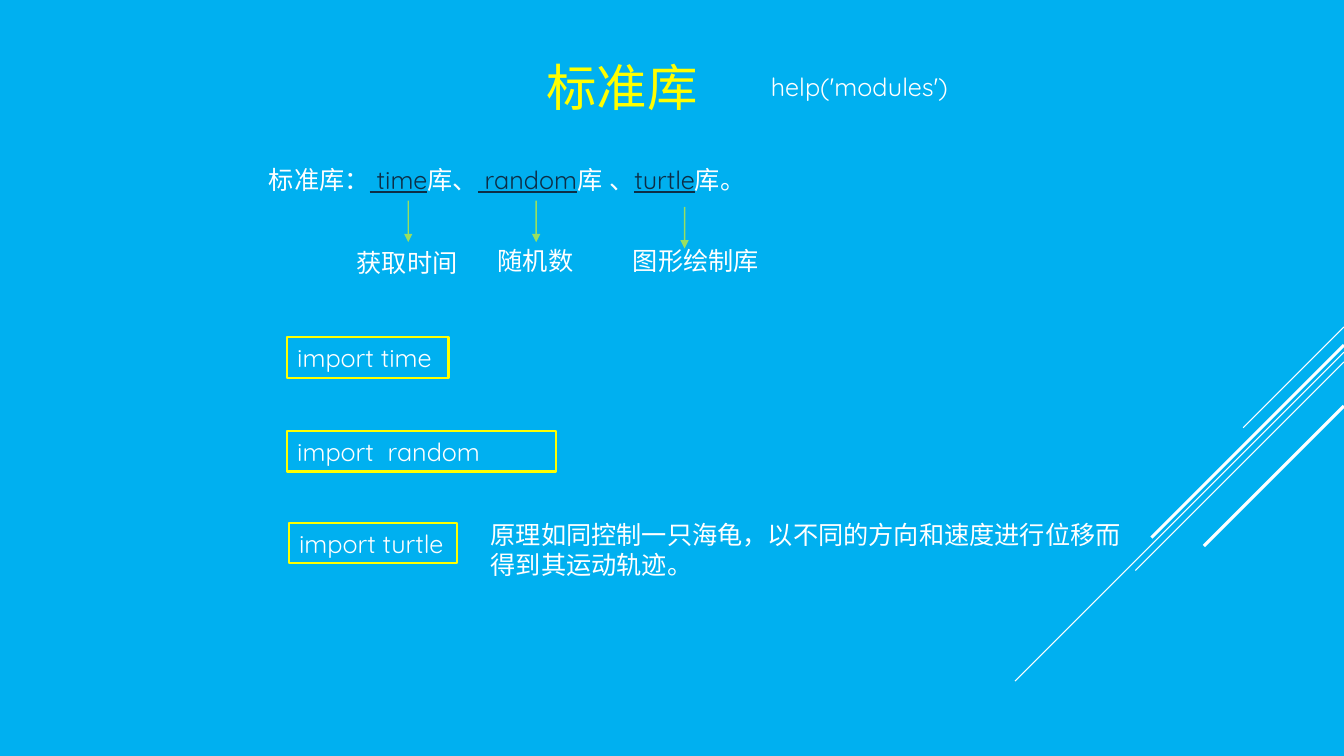
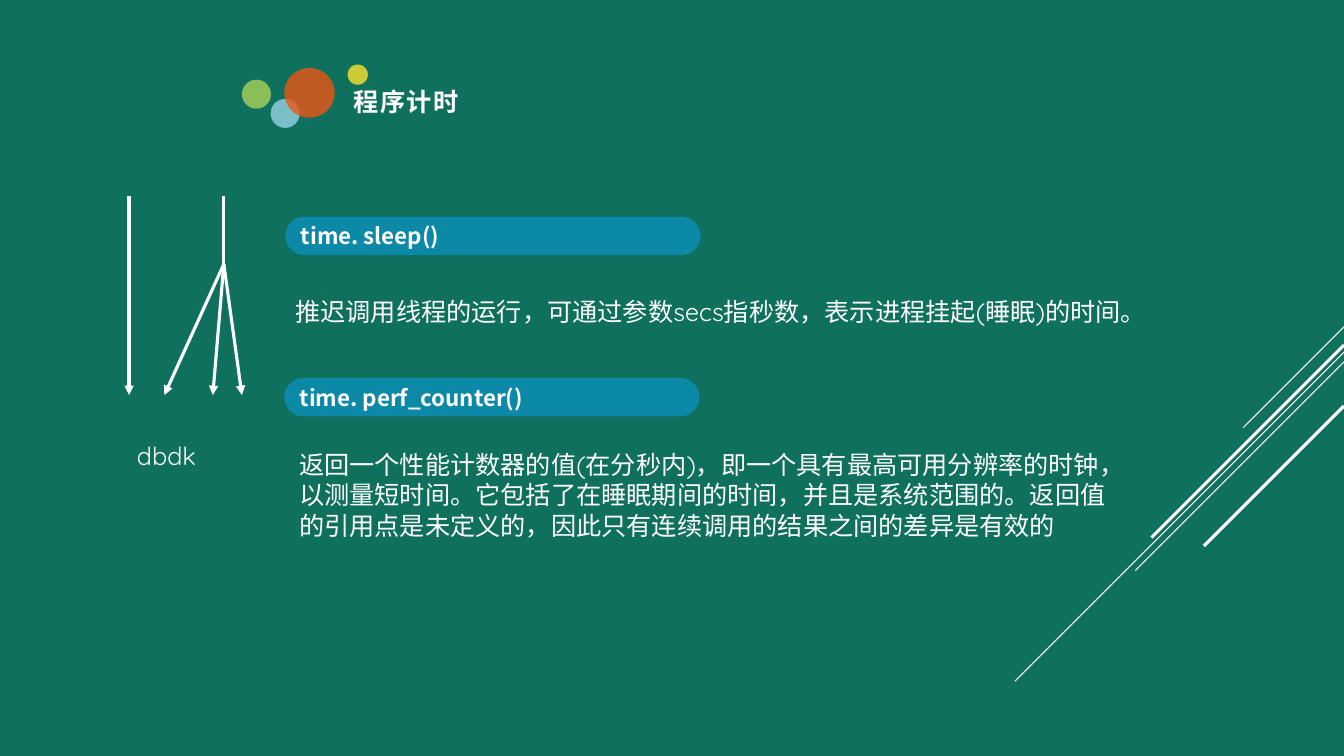
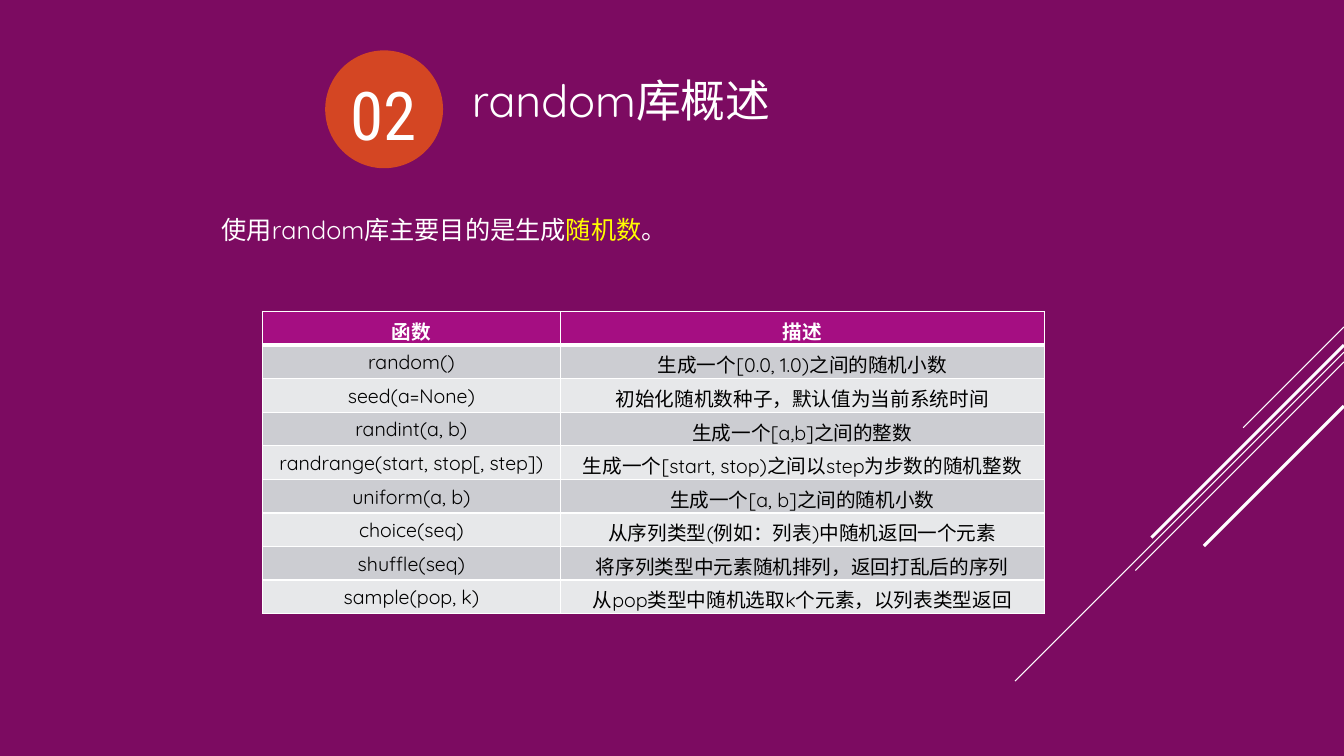
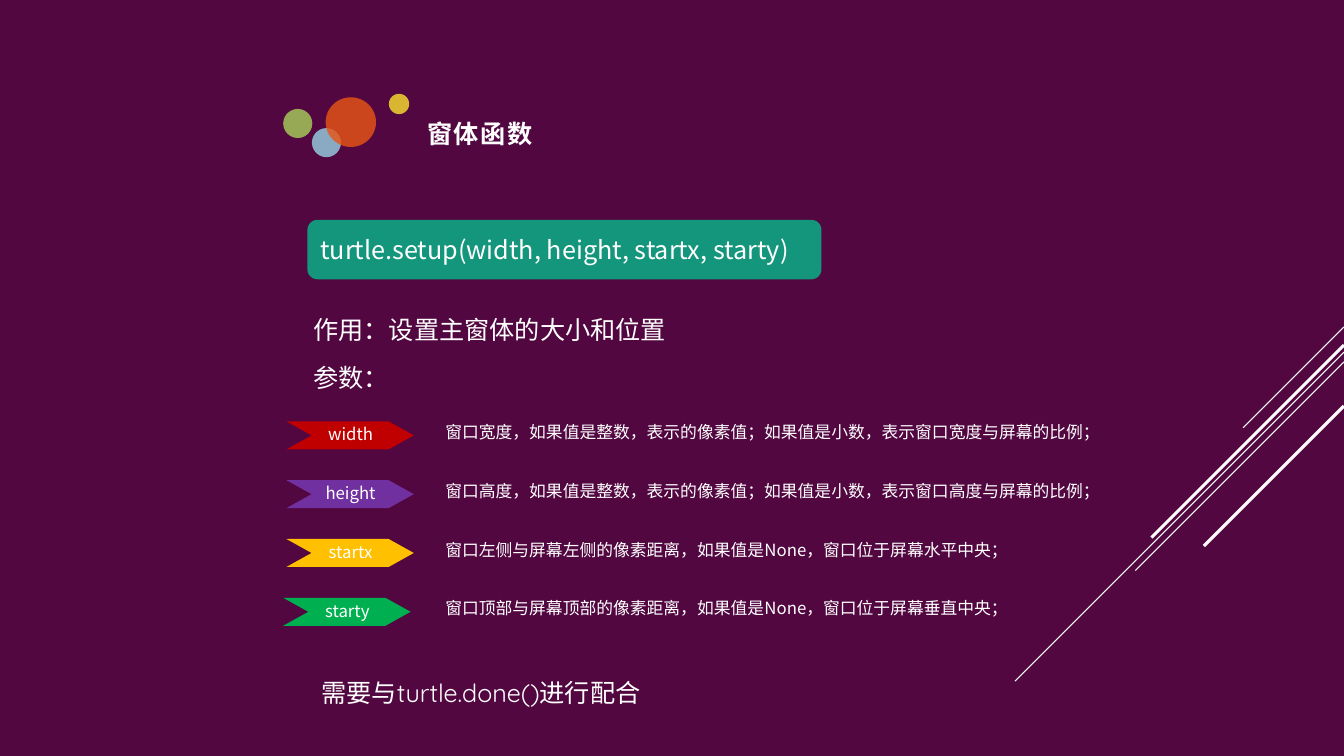
from lxml.etree import SubElement
from pptx import Presentation
from pptx.dml.color import RGBColor
from pptx.enum.shapes import MSO_CONNECTOR, MSO_SHAPE
from pptx.enum.text import MSO_ANCHOR, MSO_AUTO_SIZE, PP_ALIGN
from pptx.oxml.ns import qn
from pptx.util import Pt

WHITE = RGBColor(0xFF, 0xFF, 0xFF)
BLACK = RGBColor(0x00, 0x00, 0x00)
YELLOW = RGBColor(0xFF, 0xFF, 0x00)
NAVY = RGBColor(0x0D, 0x2E, 0x46)
SKY = RGBColor(0x00, 0xB0, 0xF0)
PINE = RGBColor(0x0F, 0x70, 0x5D)
PURPLE = RGBColor(0x7C, 0x0B, 0x61)
PLUM = RGBColor(0x52, 0x07, 0x41)
LEMON = RGBColor(0xFB, 0xE2, 0x2D)
LIME = RGBColor(0xA9, 0xD2, 0x5A)
ICE = RGBColor(0x98, 0xD2, 0xE3)
ORANGE = RGBColor(0xEA, 0x55, 0x14)
TEAL = RGBColor(0x0D, 0x89, 0xA8)
JADE = RGBColor(0x14, 0x96, 0x7C)
MAGENTA = RGBColor(0xA5, 0x0E, 0x82)
BAND_DARK = RGBColor(0xCC, 0xCD, 0xD2)
BAND_LIGHT = RGBColor(0xE7, 0xE8, 0xEA)
RED = RGBColor(0xC0, 0x00, 0x00)
VIOLET = RGBColor(0x70, 0x30, 0xA0)
GOLD = RGBColor(0xFF, 0xC0, 0x00)
GREEN = RGBColor(0x00, 0xB0, 0x50)

ROUND_FONT = "Quicksand"
SANS_FONT = "Noto Sans CJK SC"
NUMBER_FONT = "Roboto Condensed"
INSETS = (7.2, 3.6, 7.2, 3.6)
NO_INSETS = (0, 0, 0, 0)
PAGE_WIDTH, PAGE_HEIGHT = 960, 540


# Text and shape helpers

def add_span(para, text, size, color=WHITE, font=ROUND_FONT, bold=False,
             underline=False, asian=None, spacing=0):
    span = para.add_run()
    span.text = text
    span.font.size = Pt(size)
    span.font.bold = bold
    span.font.underline = underline
    span.font.color.rgb = color
    span.font.name = font
    properties = span.font.latin_parent if hasattr(span.font, "latin_parent") else para.runs[-1]._r.get_or_add_rPr()
    SubElement(properties, qn("a:ea")).set("typeface", asian or font)
    if spacing:
        properties.set("spc", str(spacing))


def set_frame(frame, insets=INSETS, wrap=True, anchor=MSO_ANCHOR.TOP,
              fit=MSO_AUTO_SIZE.SHAPE_TO_FIT_TEXT):
    frame.margin_left, frame.margin_top, frame.margin_right, frame.margin_bottom = map(Pt, insets)
    frame.word_wrap = wrap
    frame.vertical_anchor = anchor
    frame.auto_size = fit


def add_text(page, box, spans, size=18, font=ROUND_FONT, wrap=False,
             insets=INSETS, align=PP_ALIGN.LEFT):
    """Place one paragraph; spans is a string or a list of (text, options)."""
    label = page.shapes.add_textbox(*map(Pt, box))
    set_frame(label.text_frame, insets, wrap)
    para = label.text_frame.paragraphs[0]
    para.alignment = align
    if font == SANS_FONT:
        para.line_spacing = 0.88
    for text, options in [(spans, {})] if isinstance(spans, str) else spans:
        add_span(para, text, size, font=font, **options)
    return label


def set_title(page, box, text, size, insets=INSETS, wrap=False, **style):
    title = page.shapes.title
    title.left, title.top, title.width, title.height = map(Pt, box)
    set_frame(title.text_frame, insets, wrap)
    para = title.text_frame.paragraphs[0]
    para.alignment = PP_ALIGN.LEFT
    if style.get("font") == SANS_FONT:
        para.line_spacing = 0.88
    add_span(para, text, size, **style)


def set_opacity(shape, percent):
    for color in shape.element.spPr.iter(qn("a:srgbClr")):
        SubElement(color, qn("a:alpha")).set("val", str(percent * 1000))


def paint(shape, color):
    shape.shadow.inherit = False
    shape.fill.solid()
    shape.fill.fore_color.rgb = color
    shape.line.fill.background()


def add_dot(page, box, color):
    dot = page.shapes.add_shape(MSO_SHAPE.OVAL, *map(Pt, box))
    paint(dot, color)
    set_opacity(dot, 80)


def add_pill(page, box, text, size, color, rounding, bold=False):
    pill = page.shapes.add_shape(MSO_SHAPE.ROUNDED_RECTANGLE, *map(Pt, box))
    pill.adjustments[0] = rounding
    paint(pill, color)
    set_frame(pill.text_frame, anchor=MSO_ANCHOR.MIDDLE, fit=MSO_AUTO_SIZE.NONE)
    para = pill.text_frame.paragraphs[0]
    para.alignment = PP_ALIGN.LEFT
    add_span(para, text, size, font=SANS_FONT, bold=bold)


def add_line(page, start, end, width, color=WHITE, arrow=False):
    line = page.shapes.add_connector(MSO_CONNECTOR.STRAIGHT, *map(Pt, (*start, *end)))
    line.line.color.rgb = color
    line.line.width = Pt(width)
    if arrow:
        SubElement(line.line._get_or_add_ln(), qn("a:tailEnd")).set("type", "triangle")
    SubElement(line.element.spPr, qn("a:effectLst"))
    return line


# Shared parts

def add_layout_rays(page):
    """Draw the diagonal rays at the right edge and hand them to the layout."""
    rays = [(233.5, 72, 0.75), (251.5, 235, 0.75), (258.5, 149, 0.75),
            (246.5, 137.5, 2.25), (290, 100, 2.25)]
    tree = page.slide_layout.shapes.element
    for number, (top, run, width) in enumerate(rays, 101):
        ray = add_line(page, (PAGE_WIDTH, top), (PAGE_WIDTH - run, top + run), width)
        ray.element.nvCxnSpPr.cNvPr.set("id", str(number))
        tree.append(ray.element)


def add_page(deck, color):
    page = deck.slides.add_slide(deck.slide_layouts[5])
    page.background.fill.solid()
    page.background.fill.fore_color.rgb = color
    return page


def add_dotted_title(page, left, top, title_at, text):
    for x, y, width, height, color in [
            (75.5, 0, 14.5, 14.5, LEMON), (0, 10.8, 20.8, 20.8, LIME),
            (20.5, 24.5, 20.8, 20.8, ICE), (30.3, 2.5, 36, 35.5, ORANGE)]:
        add_dot(page, (left + x, top + y, width, height), color)
    set_title(page, (*title_at, 106, 21.6), text, 18, NO_INSETS, True,
              font=SANS_FONT, bold=True, spacing=100)


# Slide 1: standard library

def add_library_arrows(page):
    for x, top in [(291.6, 143.3), (383, 143.3), (489, 147.8)]:
        arrow = add_line(page, (x, top), (x, top + 29.7), 1, YELLOW, arrow=True)
        set_opacity(arrow, 60)
    for left, top, width, text in [(247.7, 172.8, 87, "获取时间"),
                                   (348.5, 172, 69, "随机数"),
                                   (445, 172, 105, "图形绘制库")]:
        add_text(page, (left, top, width, 28.8), text)


def add_import_boxes(page):
    for left, top, width, text in [(205.2, 241, 115.2, "import time"),
                                   (205.2, 308, 192.2, "import  random"),
                                   (206.6, 373.7, 120.2, "import turtle")]:
        frame = add_text(page, (left, top, width, 28.8), text, wrap=True)
        frame.line.color.rgb = YELLOW
        frame.line.width = Pt(1.5)


def build_library_page(page):
    set_title(page, (383, 36.7, 123.8, 51), "标准库", 36, color=YELLOW)
    add_text(page, (543.6, 47.5, 149, 28.8), "help('modules')")
    name = {"color": NAVY, "underline": True}
    add_text(page, (185, 113.8, 383, 28.8), [
        ("标准库：", {}), (" time", name), ("库、", {}), (" random", name),
        ("库 、", {}), ("turtle", name), ("库。", {})], wrap=True)
    add_library_arrows(page)
    add_import_boxes(page)
    add_text(page, (343.4, 367.2, 480.2, 51),
             "原理如同控制一只海龟，以不同的方向和速度进行位移而得到其运动轨迹。", wrap=True)


# Slide 2: program timing

def add_thread_arrows(page, left, top):
    bottom = top + 142.5
    fork = (left + 67.7, top + 49)
    add_line(page, (left, top), (left, bottom), 2.25, arrow=True)
    add_line(page, (fork[0], top), fork, 2.25)
    for x in (25.2, 59.8, 80.6):
        add_line(page, fork, (left + x, bottom), 2.25, arrow=True)


def build_timing_page(page):
    add_dotted_title(page, 172.8, 46.1, (252.7, 64.8), "程序计时")
    add_pill(page, (203.8, 154.8, 296.6, 27.4), "time. sleep()", 16, TEAL, 0.5, True)
    add_text(page, (203.8, 208, 608.4, 50),
             "推迟调用线程的运行，可通过参数secs指秒数，表示进程挂起(睡眠)的时间。", wrap=True)
    add_pill(page, (203, 270, 296.6, 27.4), "time. perf_counter()", 16, TEAL, 0.5, True)
    add_text(page, (206.6, 317.5, 603.4, 72.7),
             "返回一个性能计数器的值(在分秒内)，即一个具有最高可用分辨率的时钟，"
             "以测量短时间。它包括了在睡眠期间的时间，并且是系统范围的。"
             "返回值的引用点是未定义的，因此只有连续调用的结果之间的差异是有效的", wrap=True)
    add_thread_arrows(page, 92.2, 139.7)
    add_text(page, (90.7, 311, 61.2, 28.8), "dbdk")


# Slide 3: random functions

FUNCTIONS = [
    ("函数", "描述"),
    ("random()", "生成一个[0.0, 1.0)之间的随机小数"),
    ("seed(a=None)", "初始化随机数种子，默认值为当前系统时间"),
    ("randint(a, b)", "生成一个[a,b]之间的整数"),
    ("randrange(start, stop[, step])", "生成一个[start, stop)之间以step为步数的随机整数"),
    ("uniform(a, b)", "生成一个[a, b]之间的随机小数"),
    ("choice(seq)", "从序列类型(例如：列表)中随机返回一个元素"),
    ("shuffle(seq)", "将序列类型中元素随机排列，返回打乱后的序列"),
    ("sample(pop, k)", "从pop类型中随机选取k个元素，以列表类型返回"),
]


def set_borders(cell, bottom_width):
    properties = cell._tc.get_or_add_tcPr()
    for place, (side, width) in enumerate([("L", 1), ("R", 1), ("T", 1), ("B", bottom_width)]):
        border = SubElement(properties, qn("a:ln" + side))
        border.set("w", str(Pt(width)))
        fill = SubElement(border, qn("a:solidFill"))
        SubElement(fill, qn("a:srgbClr")).set("val", str(WHITE))
        properties.insert(place, border)


def add_function_table(page, left, top, widths, row_height):
    table = page.shapes.add_table(
        len(FUNCTIONS), len(widths), Pt(left), Pt(top),
        Pt(sum(widths)), Pt(row_height * len(FUNCTIONS))).table
    table.horz_banding = False
    for column, width in zip(table.columns, widths):
        column.width = Pt(width)
    for row, texts in enumerate(FUNCTIONS):
        header = row == 0
        table.rows[row].height = Pt(row_height)
        for column, text in enumerate(texts):
            cell = table.cell(row, column)
            cell.margin_top, cell.margin_bottom = Pt(3.6), Pt(0)
            cell.fill.solid()
            cell.fill.fore_color.rgb = MAGENTA if header else (BAND_LIGHT, BAND_DARK)[row % 2]
            set_borders(cell, 3 if header else 1)
            para = cell.text_frame.paragraphs[0]
            para.alignment = PP_ALIGN.CENTER
            add_span(para, text, 14, WHITE if header else BLACK, bold=header, asian=SANS_FONT)


def build_random_page(page):
    set_title(page, (329.8, 48.2, 236.9, 46), "random库概述", 32)
    add_text(page, (151.2, 149.8, 339, 28.8), [
        ("使用random库主要目的是生成", {}), ("随机数", {"color": YELLOW}), ("。", {})])
    add_function_table(page, 187.5, 222.5, (212.8, 345.6), 24)
    add_dot(page, (232.3, 36, 84.2, 84.2), ORANGE)
    add_text(page, (245.5, 52.6, 57.6, 58.3), "02", 48, NUMBER_FONT, True,
             NO_INSETS, PP_ALIGN.CENTER)


# Slide 4: window function

PARAMETERS = [
    ("width", RED, 204.6, "窗口宽度，如果值是整数，表示的像素值；如果值是小数，表示窗口宽度与屏幕的比例；"),
    ("height", VIOLET, 204.6, "窗口高度，如果值是整数，表示的像素值；如果值是小数，表示窗口高度与屏幕的比例；"),
    ("startx", GOLD, 204.6, "窗口左侧与屏幕左侧的像素距离，如果值是None，窗口位于屏幕水平中央；"),
    ("starty", GREEN, 202.3, "窗口顶部与屏幕顶部的像素距离，如果值是None，窗口位于屏幕垂直中央；"),
]


def add_ribbon(page, left, top, text, color):
    width, height, notch = 90.7, 20.5, 18
    outline = page.shapes.build_freeform(0, 0, scale=Pt(1))
    outline.add_line_segments([(width - notch, 0), (width, height / 2),
                               (width - notch, height), (0, height), (notch, height / 2)])
    ribbon = outline.convert_to_shape(Pt(left), Pt(top))
    paint(ribbon, color)
    set_frame(ribbon.text_frame, (25.9, 0.7, 25.2, 0.7), True,
              MSO_ANCHOR.MIDDLE, MSO_AUTO_SIZE.NONE)
    para = ribbon.text_frame.paragraphs[0]
    para.alignment = PP_ALIGN.CENTER
    para.line_spacing = 0.9
    add_span(para, text, 12, font=SANS_FONT)


def add_parameter_rows(page, top, pitch):
    for row, (name, color, left, description) in enumerate(PARAMETERS):
        add_ribbon(page, left, top + row * pitch, name, color)
        add_text(page, (311, top + row * pitch - 1.5, 500, 21.6), description,
                 12, SANS_FONT, True)


def build_window_page(page):
    add_dotted_title(page, 202.3, 67, (305.3, 87.1), "窗体函数")
    add_pill(page, (219.6, 157, 367.2, 42.5),
             "turtle.setup(width, height, startx, starty)", 18, JADE, 0.17)
    add_text(page, (216.7, 224, 269.3, 28.8), "作用：设置主窗体的大小和位置", font=SANS_FONT)
    add_text(page, (216.7, 257.8, 69, 28.8), "参数：", font=SANS_FONT)
    add_parameter_rows(page, 301, 42)
    add_text(page, (222.5, 480.2, 252, 28.8), "需要与turtle.done()进行配合")


def main():
    deck = Presentation()
    deck.slide_width, deck.slide_height = Pt(PAGE_WIDTH), Pt(PAGE_HEIGHT)
    builders = [(SKY, build_library_page), (PINE, build_timing_page),
                (PURPLE, build_random_page), (PLUM, build_window_page)]
    for color, build in builders:
        build(add_page(deck, color))
    add_layout_rays(deck.slides[0])
    deck.save("out.pptx")


if __name__ == "__main__":
    main()
